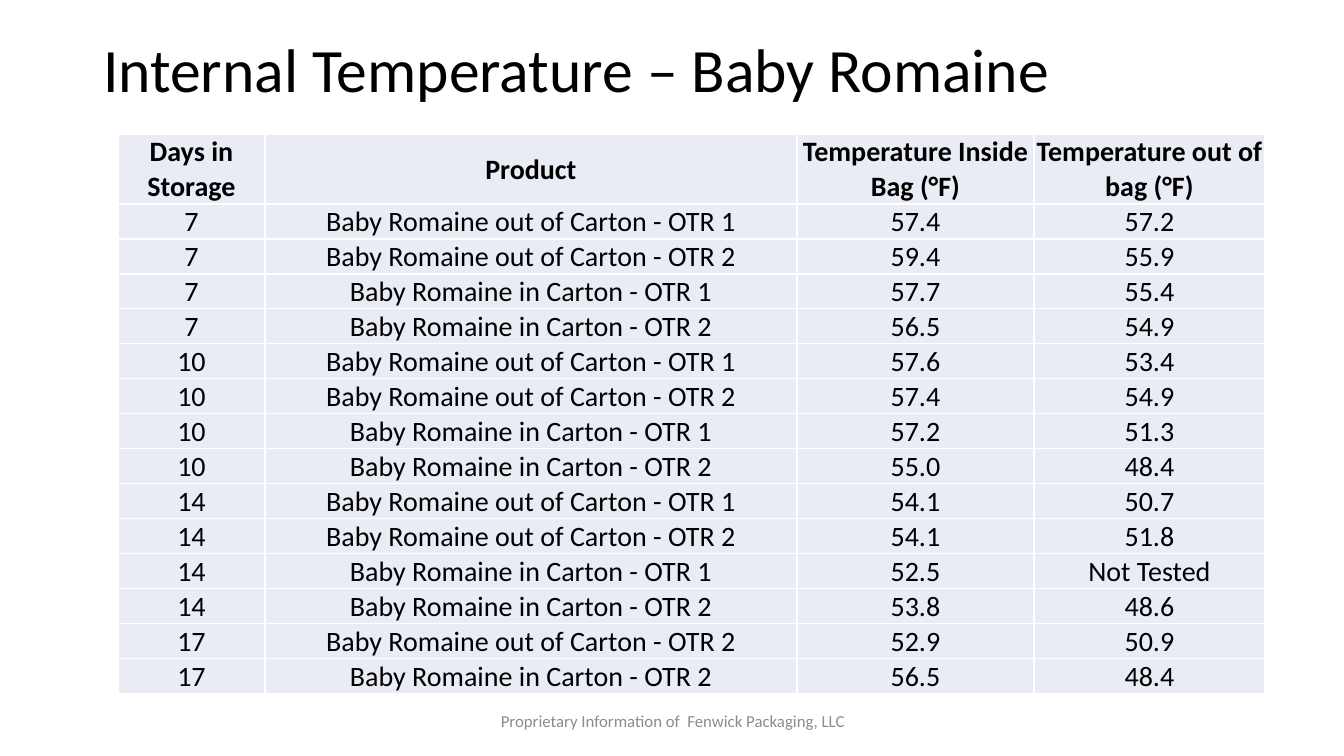
"""Build the Baby Romaine internal temperature slide."""
from dataclasses import dataclass

from lxml import etree
from pptx import Presentation
from pptx import util as u
from pptx.dml.color import RGBColor
from pptx.enum import text
from pptx.oxml import ns

PX = u.Inches(1) / 100.8


def px(count):
    return u.Emu(round(count * PX))


@dataclass(frozen=True)
class Theme:
    font: str = "Calibri"
    ink: str = "000000"
    muted: str = "8C8C8C"
    cell: str = "E9EBF5"
    border: str = "FFFFFF"
    title_size: int = 44
    table_size: int = 20
    footer_size: int = 12


class Page:
    def __init__(self, deck, theme):
        self.theme = theme
        self.slide = deck.slides.add_slide(deck.slide_layouts[5])

    def set_text(self, frame, words, size, color, align, bold=False):
        frame.text = words
        para = frame.paragraphs[0]
        para.alignment = align
        para.font.name = self.theme.font
        para.font.size = u.Pt(size)
        para.font.bold = bold
        para.font.color.rgb = RGBColor.from_string(color)
        return para

    def title(self, words, left, top, width, height):
        box = self.slide.shapes.title
        box.left, box.top, box.width, box.height = map(px, (left, top, width, height))
        box.text_frame.vertical_anchor = text.MSO_ANCHOR.MIDDLE
        para = self.set_text(box.text_frame, words, self.theme.title_size,
                             self.theme.ink, text.PP_ALIGN.LEFT)
        para.line_spacing = 0.9

    def footer(self, words, left, top, width, height):
        box = self.slide.shapes.add_textbox(*map(px, (left, top, width, height)))
        box.text_frame.word_wrap = True
        box.text_frame.vertical_anchor = text.MSO_ANCHOR.MIDDLE
        self.set_text(box.text_frame, words, self.theme.footer_size,
                      self.theme.muted, text.PP_ALIGN.CENTER)

    def table(self, rows, left, top, widths, header_height, row_height):
        height = header_height + row_height * (len(rows) - 1)
        table = self.slide.shapes.add_table(
            len(rows), len(widths), *map(px, (left, top, sum(widths), height))).table
        table.first_row = table.horz_banding = False
        for column, width in zip(table.columns, widths):
            column.width = px(width)
        for index, values in enumerate(rows):
            header = index == 0
            table.rows[index].height = px(header_height if header else row_height)
            for column, value in enumerate(values):
                middle = header or column < 2
                self.cell(table.cell(index, column), value, header, middle)

    def cell(self, cell, words, bold, middle):
        cell.margin_left = cell.margin_right = cell.margin_top = px(1)
        cell.margin_bottom = 0
        cell.vertical_anchor = text.MSO_ANCHOR.MIDDLE if middle else text.MSO_ANCHOR.BOTTOM
        self.set_text(cell.text_frame, words, self.theme.table_size,
                      self.theme.ink, text.PP_ALIGN.CENTER, bold)
        properties = cell._tc.get_or_add_tcPr()
        for side in ("a:lnL", "a:lnR", "a:lnT", "a:lnB"):
            line = etree.SubElement(properties, ns.qn(side), w=str(u.Pt(1)))
            fill = etree.SubElement(line, ns.qn("a:solidFill"))
            etree.SubElement(fill, ns.qn("a:srgbClr"), val=self.theme.border)
        cell.fill.solid()
        cell.fill.fore_color.rgb = RGBColor.from_string(self.theme.cell)


HEADINGS = ("Days in Storage", "Product",
            "Temperature Inside Bag (°F)", "Temperature out of bag (°F)")
READINGS = (
    (7, "out of", 1, "57.4", "57.2"),
    (7, "out of", 2, "59.4", "55.9"),
    (7, "in", 1, "57.7", "55.4"),
    (7, "in", 2, "56.5", "54.9"),
    (10, "out of", 1, "57.6", "53.4"),
    (10, "out of", 2, "57.4", "54.9"),
    (10, "in", 1, "57.2", "51.3"),
    (10, "in", 2, "55.0", "48.4"),
    (14, "out of", 1, "54.1", "50.7"),
    (14, "out of", 2, "54.1", "51.8"),
    (14, "in", 1, "52.5", "Not Tested"),
    (14, "in", 2, "53.8", "48.6"),
    (17, "out of", 2, "52.9", "50.9"),
    (17, "in", 2, "56.5", "48.4"),
)


def main():
    deck = Presentation()
    deck.slide_width, deck.slide_height = px(1344), px(756)
    page = Page(deck, Theme())
    page.title("Internal Temperature – Baby Romaine", 93, 0, 1159, 146)
    page.footer("Proprietary Information of  Fenwick Packaging, LLC", 446, 701, 454, 40)
    rows = [HEADINGS] + [
        (str(days), f"Baby Romaine {place} Carton - OTR {rate}", inside, outside)
        for days, place, rate, inside, outside in READINGS]
    page.table(rows, 118, 134, (147, 532, 237, 231), 70, 35)
    deck.save("out.pptx")


if __name__ == "__main__":
    main()
